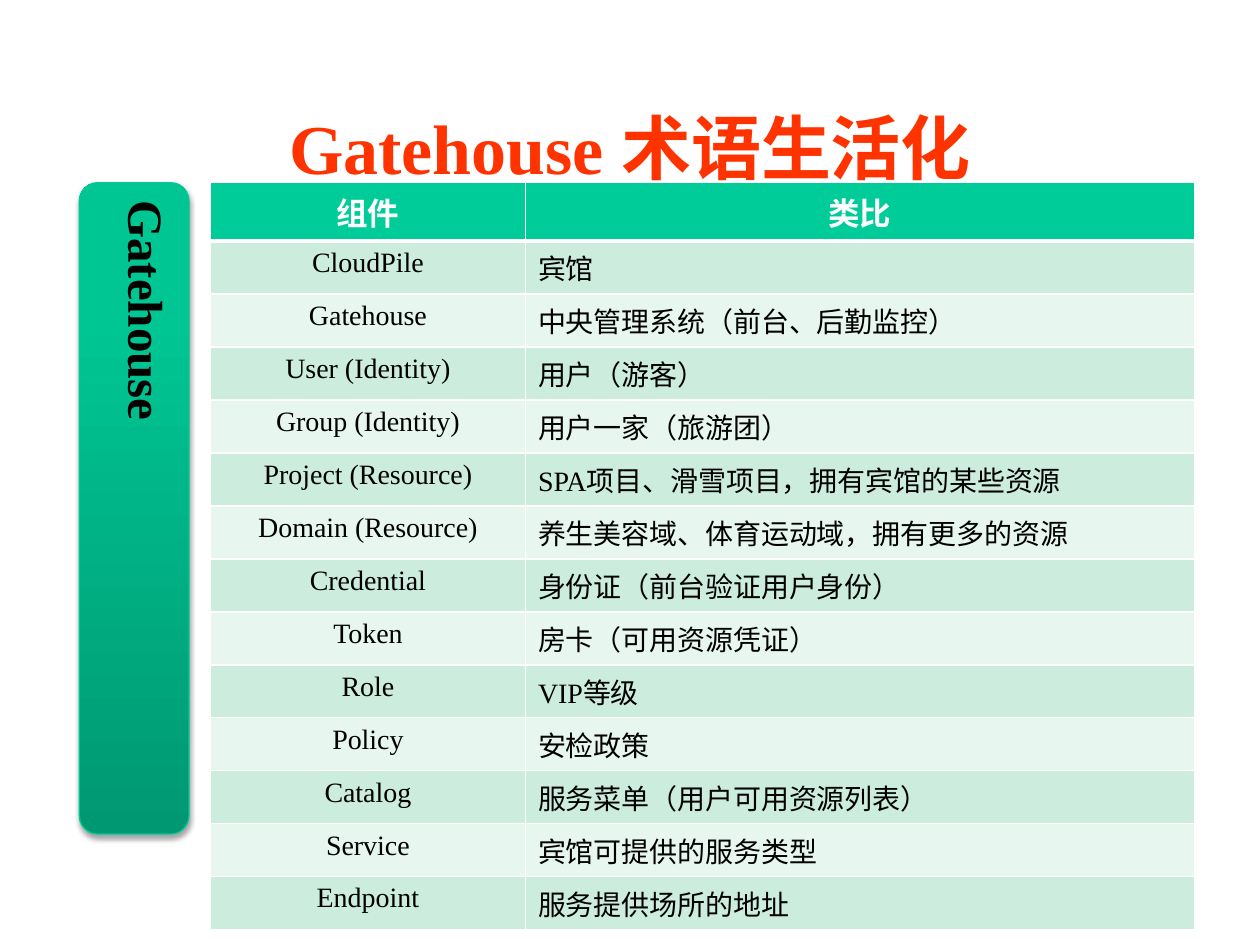
from lxml import etree
from pptx import Presentation
from pptx import util as u
from pptx.dml.color import RGBColor
from pptx.enum import shapes, text
from pptx.oxml import parse_xml
from pptx.oxml.ns import nsdecls, qn

FONT = "Times New Roman"
HEADINGS = ("组件", "类比")
TERMS = [
    ("CloudPile", "宾馆"),
    ("Gatehouse", "中央管理系统（前台、后勤监控）"),
    ("User (Identity)", "用户（游客）"),
    ("Group (Identity)", "用户一家（旅游团）"),
    ("Project (Resource)", "SPA项目、滑雪项目，拥有宾馆的某些资源"),
    ("Domain (Resource)", "养生美容域、体育运动域，拥有更多的资源"),
    ("Credential", "身份证（前台验证用户身份）"),
    ("Token", "房卡（可用资源凭证）"),
    ("Role", "VIP等级"),
    ("Policy", "安检政策"),
    ("Catalog", "服务菜单（用户可用资源列表）"),
    ("Service", "宾馆可提供的服务类型"),
    ("Endpoint", "服务提供场所的地址"),
]
CENTER = text.PP_ALIGN.CENTER
LEFT = text.PP_ALIGN.LEFT


def color(value):
    return RGBColor.from_string(value)


def inches(box):
    return [u.Inches(length) for length in box]


def write(frame, words, size, ink, bold=False, align=CENTER):
    para = frame.paragraphs[0]
    para.alignment = align
    span = para.add_run()
    span.text = words
    for name, value in {"name": FONT, "size": u.Pt(size), "bold": bold}.items():
        setattr(span.font, name, value)
    span.font.color.rgb = color(ink)
    return para


def place_title(page, box):
    title = page.shapes.title
    for name, value in zip(("left", "top", "width", "height"), inches(box)):
        setattr(title, name, value)
    title.text_frame.vertical_anchor = text.MSO_ANCHOR.MIDDLE
    para = write(title.text_frame, "Gatehouse 术语生活化", 40, "FF3300", True)
    para.line_spacing = 1.1


def shade(shape, stops):
    marks = "".join(
        f'<a:gs pos="{share * 1000}"><a:srgbClr val="{value}"/></a:gs>'
        for share, value in stops
    )
    gradient = parse_xml(
        f'<a:gradFill {nsdecls("a")} rotWithShape="1"><a:gsLst>{marks}</a:gsLst>'
        '<a:lin ang="16200000" scaled="0"/></a:gradFill>'
    )
    shape.fill.solid()
    solid = shape.element.spPr.find(qn("a:solidFill"))
    solid.getparent().replace(solid, gradient)


def cast_shadow(shape):
    shape.shadow.inherit = False
    effects = shape.element.spPr.find(qn("a:effectLst"))
    effects.append(parse_xml(
        f'<a:outerShdw {nsdecls("a")} blurRad="{u.Pt(3.1)}" dist="{u.Pt(1.8)}" '
        'dir="5400000" rotWithShape="0"><a:srgbClr val="000000">'
        '<a:alpha val="35000"/></a:srgbClr></a:outerShdw>'
    ))


def add_side_bar(page, box):
    bar = page.shapes.add_shape(shapes.MSO_SHAPE.ROUNDED_RECTANGLE, *inches(box))
    shade(bar, [(0, "009872"), (80, "00C694"), (100, "00C795")])
    bar.line.color.rgb = color("00C896")
    bar.line.width = u.Pt(0.75)
    cast_shadow(bar)
    frame = bar.text_frame
    frame.vertical_anchor = text.MSO_ANCHOR.TOP
    frame._txBody.bodyPr.set("vert", "eaVert")
    write(frame, "Gatehouse", 28, "000000", True)


def style_cell(cell, fill, bottom=1):
    cell.fill.solid()
    cell.fill.fore_color.rgb = color(fill)
    properties = cell._tc.get_or_add_tcPr()
    widths = {"lnL": 1, "lnR": 1, "lnT": 1, "lnB": bottom}
    for index, (side, width) in enumerate(widths.items()):
        border = etree.Element(qn(f"a:{side}"), w=str(u.Pt(width)))
        solid = etree.SubElement(border, qn("a:solidFill"))
        etree.SubElement(solid, qn("a:srgbClr"), val="FFFFFF")
        properties.insert(index, border)


def add_term_table(page, box):
    frame = page.shapes.add_table(len(TERMS) + 1, len(HEADINGS), *inches(box))
    table = frame.table
    for column, width in zip(table.columns, (2.5, 5.31)):
        column.width = u.Inches(width)
    for index, row in enumerate(table.rows):
        row.height = u.Inches(0.32 if index else 0.41)
    for cell, heading in zip(table.rows[0].cells, HEADINGS):
        style_cell(cell, "00CC99", bottom=3)
        write(cell.text_frame, heading, 18, "FFFFFF", True)
    for index, term in enumerate(TERMS):
        fill = ("CCECDE", "E7F6EF")[index % 2]
        cells = table.rows[index + 1].cells
        for cell, words, align in zip(cells, term, (CENTER, LEFT)):
            style_cell(cell, fill, bottom=1)
            write(cell.text_frame, words, 16, "000000", align=align)


def main():
    deck = Presentation()
    deck.slide_width, deck.slide_height = inches((10, 7.5))
    page = deck.slides.add_slide(deck.slide_layouts[5])
    place_title(page, (0.75, 0.67, 8.5, 0.92))
    add_side_bar(page, (0.63, 1.45, 0.87, 5.17))
    add_term_table(page, (1.67, 1.45, 7.81, 5.17))
    deck.save("out.pptx")


if __name__ == "__main__":
    main()
